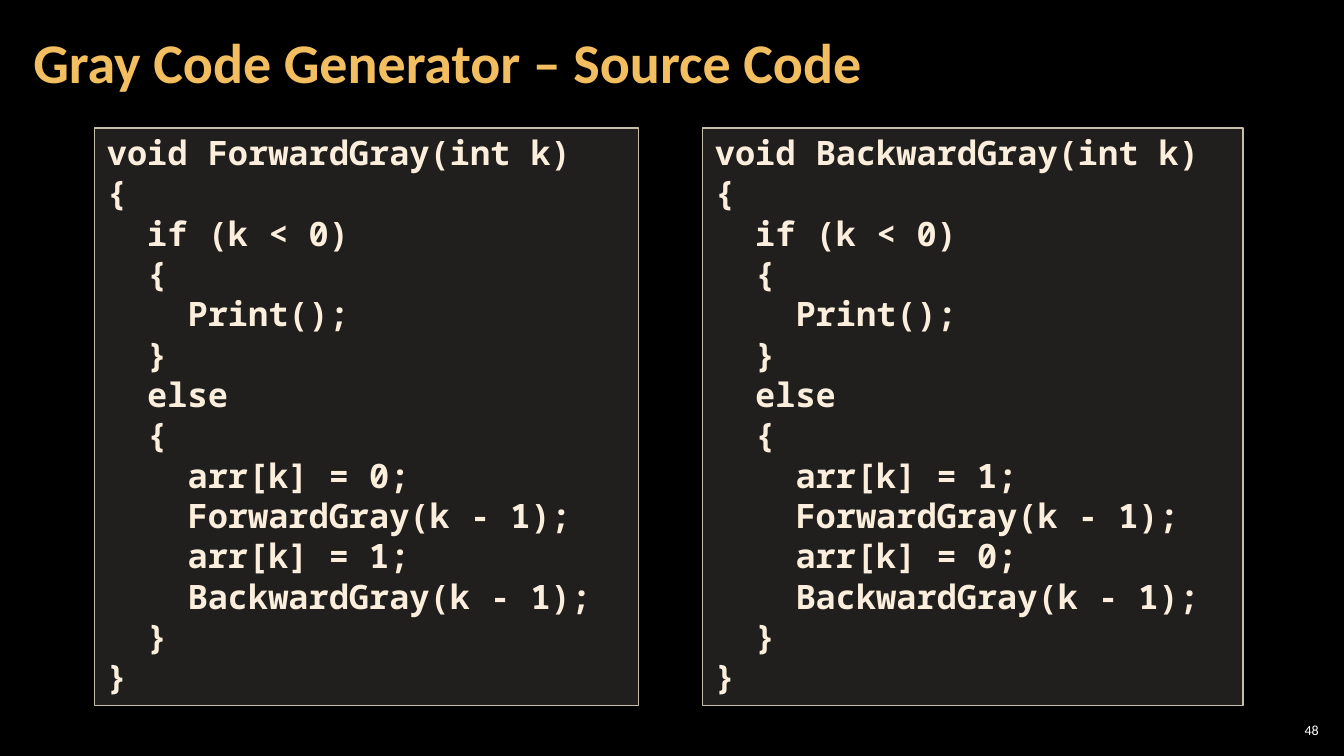
from lxml.etree import SubElement
from pptx import Presentation
from pptx.dml.color import RGBColor
from pptx.enum.shapes import MSO_SHAPE
from pptx.enum.text import MSO_ANCHOR, MSO_AUTO_SIZE, PP_ALIGN
from pptx.oxml.ns import qn
from pptx.util import Inches, Pt

GRAY_CODE = """void {name}(int k)
{{
  if (k < 0)
  {{
    Print();
  }}
  else
  {{
    arr[k] = {first};
    ForwardGray(k - 1);
    arr[k] = {second};
    BackwardGray(k - 1);
  }}
}}"""


def color(hex_string):
    return RGBColor.from_string(hex_string)


class CodeSlide:
    BACKGROUND = "000000"
    TITLE = "F3BE60"
    CODE = "FBEEDC"
    PANEL = "D9D5C7"
    PANEL_OPACITY = 15
    BORDER = "C7BFAC"
    NUMBER = "FFFFFF"
    TEXT_FONT = "Calibri"
    CODE_FONT = "Noto Sans Mono"

    def __init__(self, presentation):
        self.slide = presentation.slides.add_slide(presentation.slide_layouts[5])
        background = self.slide.background.fill
        background.solid()
        background.fore_color.rgb = color(self.BACKGROUND)

    def set_text(self, frame, text, font_name, size, hex_color, bold=False,
                 align=PP_ALIGN.LEFT, side=0.12):
        """Fill a text frame with one paragraph per line, all in one style."""
        frame.word_wrap = True
        frame.margin_left = frame.margin_right = Inches(side)
        frame.margin_top = frame.margin_bottom = Inches(0.04)
        frame.text = text
        for paragraph in frame.paragraphs:
            paragraph.alignment = align
            font = paragraph.font
            font.name, font.size, font.bold = font_name, Pt(size), bold
            font.color.rgb = color(hex_color)

    def title(self, text, left, top, width, height):
        heading = self.slide.shapes.title
        heading.left, heading.top = Inches(left), Inches(top)
        heading.width, heading.height = Inches(width), Inches(height)
        frame = heading.text_frame
        self.set_text(frame, text, self.TEXT_FONT, 40, self.TITLE, bold=True)
        frame.auto_size = MSO_AUTO_SIZE.NONE
        frame.vertical_anchor = MSO_ANCHOR.MIDDLE
        frame.paragraphs[0].line_spacing = 0.9

    def code_panel(self, code, left, top, width, height):
        panel = self.slide.shapes.add_shape(
            MSO_SHAPE.RECTANGLE, Inches(left), Inches(top), Inches(width), Inches(height))
        panel.shadow.inherit = False
        panel.fill.solid()
        panel.fill.fore_color.rgb = color(self.PANEL)
        fill_color = panel.element.spPr.find(qn("a:solidFill"))[0]
        SubElement(fill_color, qn("a:alpha"), val=str(self.PANEL_OPACITY * 1000))
        panel.line.color.rgb = color(self.BORDER)
        panel.line.width = Pt(1)
        frame = panel.text_frame
        self.set_text(frame, code, self.CODE_FONT, 24, self.CODE, bold=True)
        frame.vertical_anchor = MSO_ANCHOR.TOP
        frame.auto_size = MSO_AUTO_SIZE.SHAPE_TO_FIT_TEXT

    def page_number(self, number, left, top, width, height):
        box = self.slide.shapes.add_textbox(
            Inches(left), Inches(top), Inches(width), Inches(height))
        frame = box.text_frame
        self.set_text(frame, str(number), self.TEXT_FONT, 10, self.NUMBER,
                      align=PP_ALIGN.RIGHT, side=0.04)
        frame.vertical_anchor = MSO_ANCHOR.MIDDLE


def main():
    presentation = Presentation()
    presentation.slide_width = Inches(13.33)
    presentation.slide_height = Inches(7.5)

    page = CodeSlide(presentation)
    page.title("Gray Code Generator – Source Code", 0.21, 0.04, 10.47, 1.21)
    for name, first, second, left, width in (
        ("ForwardGray", 0, 1, 0.94, 5.39),
        ("BackwardGray", 1, 0, 6.97, 5.36),
    ):
        code = GRAY_CODE.format(name=name, first=first, second=second)
        page.code_panel(code, left, 1.27, width, 5.73)
    page.page_number(48, 12.65, 7.14, 0.47, 0.21)

    presentation.save("out.pptx")


if __name__ == "__main__":
    main()
